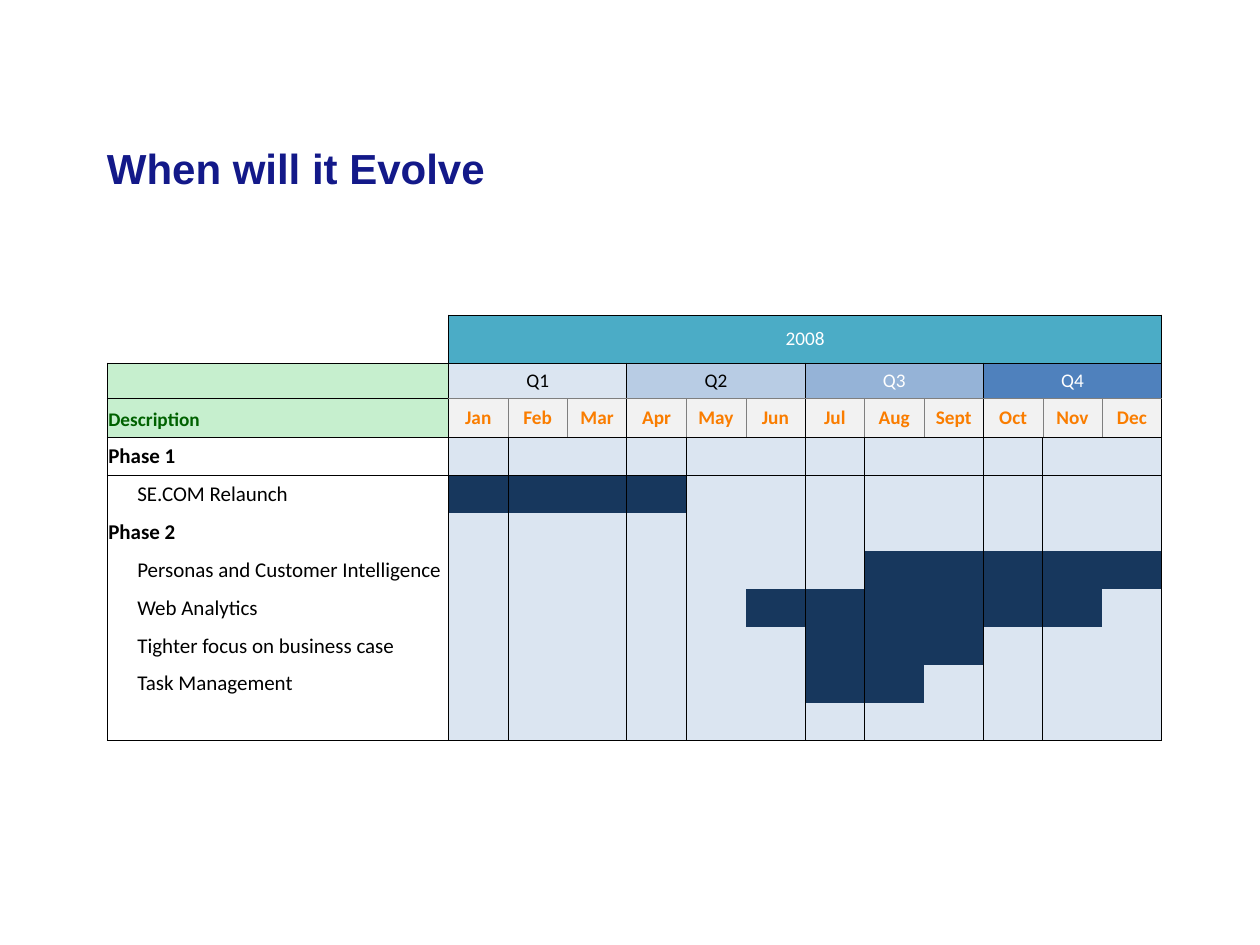
from dataclasses import dataclass

from lxml import etree
from pptx import Presentation
from pptx.dml.color import RGBColor
from pptx.enum.text import MSO_ANCHOR, PP_ALIGN
from pptx.oxml.ns import qn
from pptx.util import Inches, Pt

MIDDLE, BOTTOM = MSO_ANCHOR.MIDDLE, MSO_ANCHOR.BOTTOM
LEFT, CENTER = PP_ALIGN.LEFT, PP_ALIGN.CENTER
PLAIN = "{2D5ABB26-0587-4C30-8999-92F81FD0307C}"  # no style, no grid


@dataclass(frozen=True)
class Theme:
    head: str = "Arial"
    body: str = "Calibri"
    title: str = "131989"
    ink: str = "000000"
    white: str = "FFFFFF"
    rule: str = "7F7F7F"
    year: str = "4BACC6"
    label: str = "C6EFCE"
    green: str = "006100"
    month: str = "F2F2F2"
    orange: str = "FA7D00"
    idle: str = "DBE5F1"
    busy: str = "17375D"
    big: float = 24
    small: float = 11
    base: float = 12
    thick: float = 0.45
    thin: float = 0.23


THEME = Theme()

# Quarter name, fill and text colour
QUARTERS = [
    ("Q1", "DBE5F1", THEME.ink),
    ("Q2", "B8CCE4", THEME.ink),
    ("Q3", "95B3D7", THEME.white),
    ("Q4", "4F81BD", THEME.white),
]
MONTHS = "Jan Feb Mar Apr May Jun Jul Aug Sept Oct Nov Dec".split()

# Task name with first and last busy month; phases have no months
TASKS = [
    ("Phase 1", None),
    ("SE.COM Relaunch", (1, 4)),
    ("Phase 2", None),
    ("Personas and Customer Intelligence", (8, 12)),
    ("Web Analytics", (6, 11)),
    ("Tighter focus on business case", (7, 9)),
    ("Task Management", (7, 8)),
    ("", None),
]
TOP = 3  # header rows
ROWS, COLS = TOP + len(TASKS), 1 + len(MONTHS)
HEIGHTS = [0.38, 0.27, 0.31] + [0.22] * len(TASKS)


def upright(row, x):
    """Weight of the vertical rule at grid line x, or None."""
    if row == 0:
        return "thick" if x in (1, COLS) else None
    if x == 0 or x % 3 == 1:
        return "thick"
    return "thin" if row == 2 else None


def level(y, col):
    """Weight of the horizontal rule at grid line y, or None."""
    if y in (1, TOP, ROWS) or (y == 0 and col):
        return "thick"
    return "thin" if y == 2 and col else None


class Deck:
    def __init__(self, theme):
        self.theme = theme
        self.prs = Presentation()
        self.prs.slide_width, self.prs.slide_height = Inches(10), Inches(7.5)
        self.slide = self.prs.slides.add_slide(self.prs.slide_layouts[6])

    def style(self, para, face, size, color, bold):
        for run in para.runs:
            font = run.font
            font.name, font.size, font.bold = face, Pt(size), bold
            font.color.rgb = RGBColor.from_string(color)

    def title(self, text, left, top, width, height):
        box = self.slide.shapes.add_textbox(
            Inches(left), Inches(top), Inches(width), Inches(height))
        frame = box.text_frame
        frame.word_wrap = True
        frame.vertical_anchor = MIDDLE
        frame.text = text
        look = self.theme
        self.style(frame.paragraphs[0], look.head, look.big, look.title, True)

    def table(self, left, top, first, rest):
        shape = self.slide.shapes.add_table(
            ROWS, COLS, Inches(left), Inches(top),
            Inches(first + rest), Inches(sum(HEIGHTS)))
        grid = shape.table
        grid.first_row = grid.horz_banding = False
        grid._tbl.tblPr.find(qn("a:tableStyleId")).text = PLAIN
        for col in range(COLS):
            grid.columns[col].width = Inches(rest / len(MONTHS) if col else first)
        for row, height in enumerate(HEIGHTS):
            grid.rows[row].height = Inches(height)
        return grid

    def edge(self, cell, side, weight):
        if weight is None:
            return
        color = self.theme.ink if weight == "thick" else self.theme.rule
        line = etree.SubElement(cell._tc.get_or_add_tcPr(), qn("a:ln" + side),
                                w=str(Pt(getattr(self.theme, weight))))
        fill = etree.SubElement(line, qn("a:solidFill"))
        etree.SubElement(fill, qn("a:srgbClr"), val=color)

    def cell(self, grid, row, col, text="", fill=None, color=THEME.ink,
             size=THEME.base, bold=False, align=LEFT, anchor=BOTTOM,
             span=1, indent=0.01):
        cell = grid.cell(row, col)
        if span > 1:
            cell.merge(grid.cell(row, col + span - 1))
        # Borders come before the fill in the cell properties
        self.edge(cell, "L", upright(row, col))
        self.edge(cell, "R", upright(row, col + span))
        self.edge(cell, "T", level(row, col))
        self.edge(cell, "B", level(row + 1, col))
        if fill:
            cell.fill.solid()
            cell.fill.fore_color.rgb = RGBColor.from_string(fill)
        else:
            cell.fill.background()
        cell.margin_left, cell.margin_right = Inches(indent), Inches(0.01)
        cell.vertical_anchor = anchor
        para = cell.text_frame.paragraphs[0]
        para.alignment = align
        if text:
            para.text = text
            self.style(para, self.theme.body, size, color, bold)
        else:
            # An empty cell keeps the row height of its type size
            end = etree.SubElement(para._p, qn("a:endParaRPr"), sz=str(size * 100))
            etree.SubElement(end, qn("a:latin"), typeface=self.theme.body)


def main():
    look = THEME
    deck = Deck(look)
    deck.title("When will it Evolve", 0.75, 1, 7.92, 0.67)
    grid = deck.table(0.85, 2.5, 2.71, 5.66)

    # Header: year, quarters, months
    head = dict(size=look.small, align=CENTER, anchor=MIDDLE)
    deck.cell(grid, 0, 0, size=look.small)
    deck.cell(grid, 0, 1, "2008", look.year, look.white, span=12, **head)
    deck.cell(grid, 1, 0, fill=look.label, size=look.small)
    for i, (name, fill, color) in enumerate(QUARTERS):
        deck.cell(grid, 1, 1 + 3 * i, name, fill, color, span=3, **head)
    deck.cell(grid, 2, 0, "Description", look.label, look.green,
              size=look.small, bold=True)
    for col, name in enumerate(MONTHS, 1):
        deck.cell(grid, 2, col, name, look.month, look.orange, bold=True, **head)

    # Tasks and their busy months
    for row, (name, busy) in enumerate(TASKS, TOP):
        deck.cell(grid, row, 0, name, bold=busy is None,
                  indent=0.24 if busy else 0.01)
        for col in range(1, COLS):
            on = busy and busy[0] <= col <= busy[1]
            deck.cell(grid, row, col, fill=look.busy if on else look.idle)

    deck.prs.save("out.pptx")


if __name__ == "__main__":
    main()
